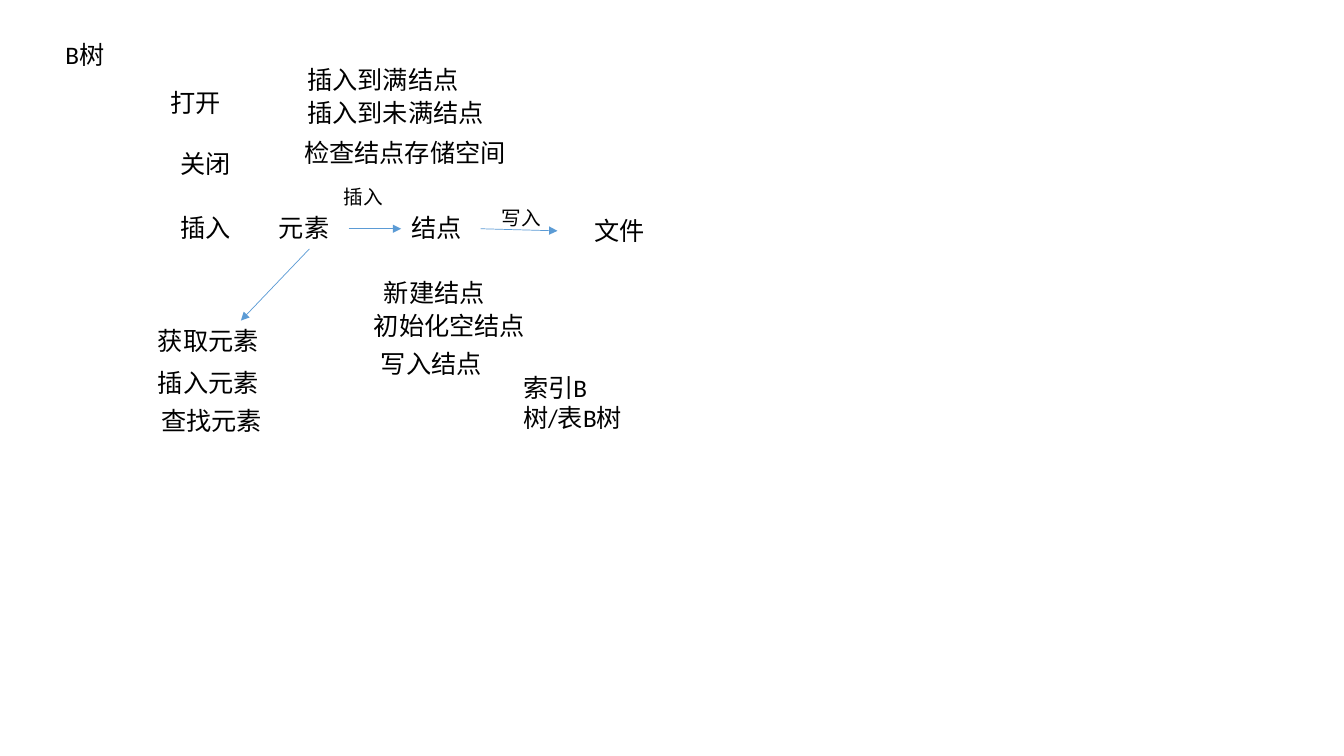
import pptx
import pptx.util
import pptx.dml.color
import pptx.enum.shapes
import pptx.enum.text
import pptx.oxml.ns
import lxml.etree

Pt = pptx.util.Pt
COLORS = {"text": "000000", "arrow": "5B9BD5"}
FONT = "Calibri"

presentation = pptx.Presentation()
presentation.slide_width = Pt(960)
presentation.slide_height = Pt(540)
slide = presentation.slides.add_slide(presentation.slide_layouts[6])

LABEL_HEIGHT, LABEL_SIZE = 28.8, 18
CAPTION_HEIGHT, CAPTION_SIZE = 24.5, 14
FLOW_TOP = 148.3
FLOW_WIDTH = 56.9


def add_label(text, left, top, width, height=LABEL_HEIGHT, size=LABEL_SIZE):
    shape = slide.shapes.add_textbox(Pt(left), Pt(top), Pt(width), Pt(height))
    frame = shape.text_frame
    frame.word_wrap = True
    frame.auto_size = pptx.enum.text.MSO_AUTO_SIZE.SHAPE_TO_FIT_TEXT
    paragraph = frame.paragraphs[0]
    paragraph.text = text
    paragraph.font.name = FONT
    paragraph.font.size = Pt(size)
    paragraph.font.color.rgb = pptx.dml.color.RGBColor.from_string(COLORS["text"])


labels = [
    ("B树", 39.6, 24.5, 67),
    ("打开", 114.5, 59, 139),
    ("关闭", 121.7, 102.2, 139),
    ("写入结点", 265, 245.5, 139),
    ("新建结点", 267.1, 194.4, 139),
    ("初始化空结点", 260, 218.2, 139),
    ("获取元素", 105.8, 229, 172.8),
    ("插入元素", 105.8, 258.5, 139),
    ("查找元素", 108, 285.8, 172.8),
    ("检查结点存储空间", 210.2, 94.3, 172.8),
    ("插入到满结点", 212.4, 42.5, 139),
    ("插入到未满结点", 212.4, 66.2, 167.8),
    ("插入", 121.7, FLOW_TOP, FLOW_WIDTH),
    ("元素", 192.2, FLOW_TOP, FLOW_WIDTH),
    ("结点", 286.6, FLOW_TOP, FLOW_WIDTH),
    ("文件", 417.6, 150.5, 102.2),
]
for text, left, top, width in labels:
    add_label(text, left, top, width)
add_label("索引B树/表B树", 366.5, 262.1, 102.2, height=51.1)

captions = [("插入", 238.3, 128.2), ("写入", 351.4, 143.3)]
for text, left, top in captions:
    add_label(text, left, top, FLOW_WIDTH, CAPTION_HEIGHT, CAPTION_SIZE)

arrows = [
    (249.1, 163.4, 286.6, 163.4),
    (343.4, 163.4, 398.2, 164.9),
    (221, 177.8, 172.1, 229),
]
for ends in arrows:
    connector = slide.shapes.add_connector(
        pptx.enum.shapes.MSO_CONNECTOR.STRAIGHT, *[Pt(end) for end in ends]
    )
    connector.line.width = Pt(0.5)
    connector.line.color.rgb = pptx.dml.color.RGBColor.from_string(COLORS["arrow"])
    line = connector.line._get_or_add_ln()
    lxml.etree.SubElement(line, pptx.oxml.ns.qn("a:tailEnd"), type="triangle")
    properties = connector._element.spPr
    lxml.etree.SubElement(properties, pptx.oxml.ns.qn("a:effectLst"))

presentation.save("out.pptx")
